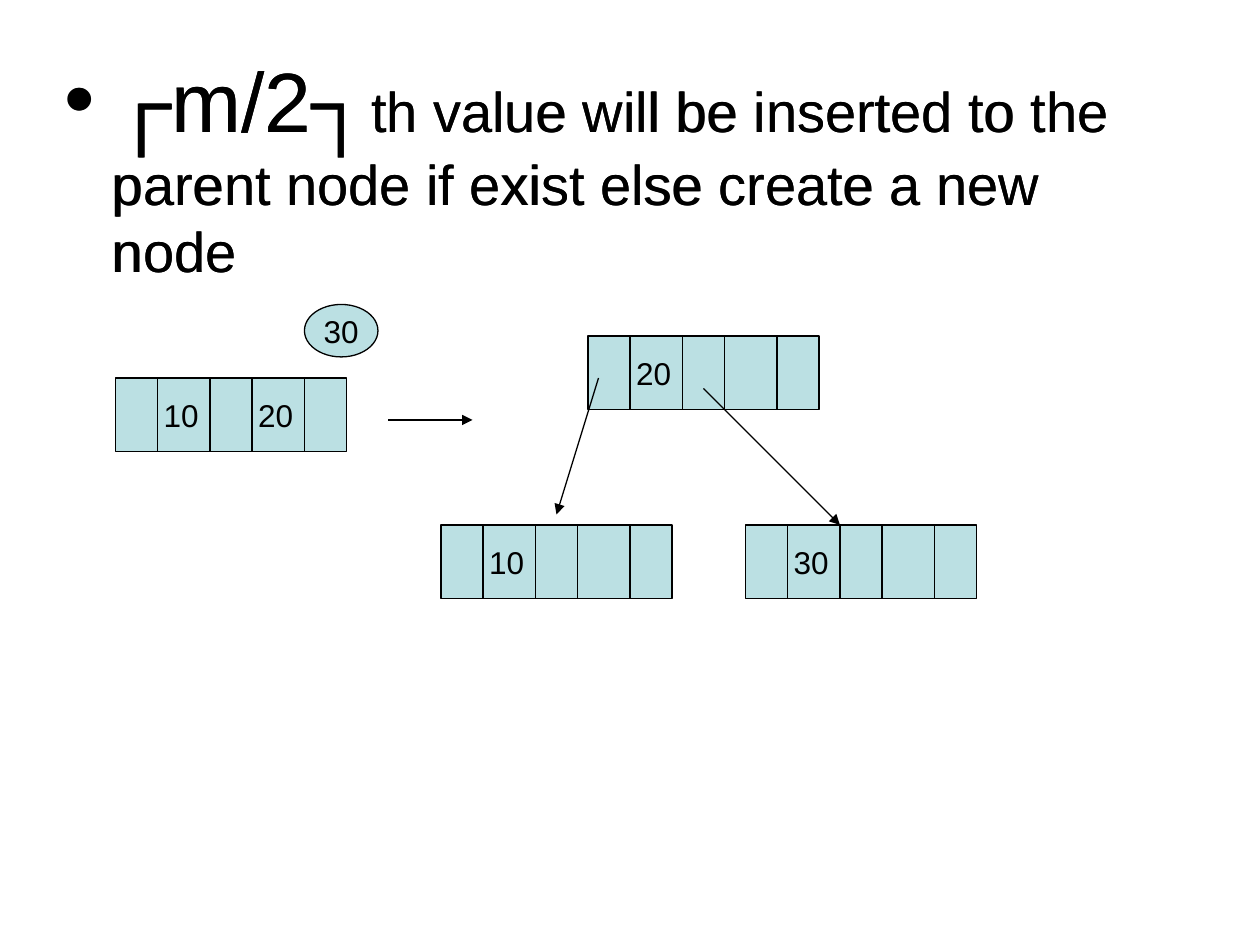
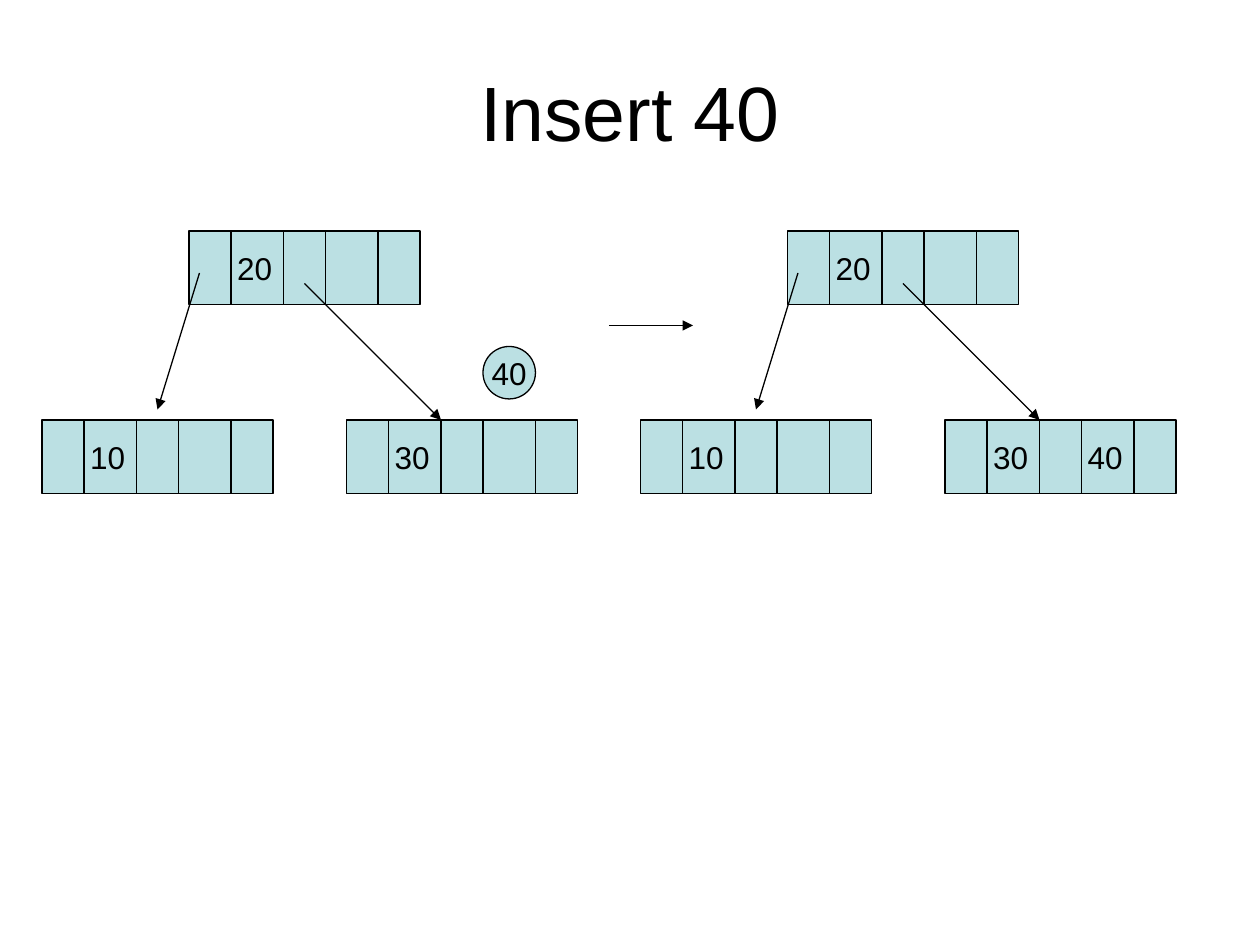
from dataclasses import dataclass

from lxml.etree import SubElement
from pptx import Presentation
from pptx.dml.color import RGBColor
from pptx.enum.shapes import MSO_CONNECTOR, MSO_SHAPE
from pptx.enum.text import MSO_ANCHOR, MSO_AUTO_SIZE, PP_ALIGN
from pptx.oxml.ns import qn
from pptx.util import Cm, Pt


@dataclass(frozen=True)
class Theme:
    ink: RGBColor = RGBColor(0, 0, 0)
    fill: RGBColor = RGBColor(0xBB, 0xE0, 0xE3)
    font: str = "Arial"
    title: int = 44
    large: int = 48
    body: int = 32
    key: int = 18
    line: float = 0.75


THEME = Theme()

RULE = [
    ("┌m/2┐", THEME.large),
    ("th value will be inserted to the parent node if exist else create a new node", THEME.body),
]
SPLIT = {
    "nodes": [(11, 36, ["10", "20"])],
    "trees": [(56, 32, ["20"], ["10"], ["30"])],
    "value": ("30", 29, 29, 7, 5),
    "arrow": (37, 40, 45, 40),
}
INSERT = {
    "title": "Insert 40",
    "nodes": [],
    "trees": [
        (18, 22, ["20"], ["10"], ["30"]),
        (75, 22, ["20"], ["10"], ["30", "40"]),
    ],
    "value": ("40", 46, 33, 5, 5),
    "arrow": (58, 31, 66, 31),
}

NODE_W, NODE_H = 22, 7
EDGES = [4, 9, 13, 18]
KEY_TABS = [EDGES[0] - 0.6, EDGES[2] - 0.6]
LEFT, RIGHT, DROP = -14, 15, 18
INDENT = Cm(0.95)


def grid(*cells):
    return [Cm(cell * 2.54 / 12) for cell in cells]


def style(para, size=None):
    font = para.font
    font.name = THEME.font
    font.color.rgb = THEME.ink
    if size:
        font.size = Pt(size)


def draw_line(slide, ends, head=False):
    line = slide.shapes.add_connector(MSO_CONNECTOR.STRAIGHT, *grid(*ends))
    line.line.color.rgb = THEME.ink
    line.line.width = Pt(THEME.line)
    props = line.element.spPr
    if head:
        SubElement(props.find(qn("a:ln")), qn("a:tailEnd"), type="triangle")
    SubElement(props, qn("a:effectLst"))


def draw_shape(slide, kind, box, text, align, tabs=()):
    shape = slide.shapes.add_shape(kind, *grid(*box))
    shape.shadow.inherit = False
    shape.fill.solid()
    shape.fill.fore_color.rgb = THEME.fill
    shape.line.color.rgb = THEME.ink
    shape.line.width = Pt(THEME.line)
    frame = shape.text_frame
    frame.word_wrap = bool(tabs)
    frame.vertical_anchor = MSO_ANCHOR.MIDDLE
    para = frame.paragraphs[0]
    para.text = text
    para.alignment = align
    if tabs:
        stops = SubElement(para._p.get_or_add_pPr(), qn("a:tabLst"))
        for stop in grid(*tabs):
            SubElement(stops, qn("a:tab"), pos=str(stop), algn="l")
    style(para, THEME.key)


def draw_node(slide, x, y, keys):
    text = "".join("\t" + key for key in keys)
    draw_shape(slide, MSO_SHAPE.RECTANGLE, (x, y, NODE_W, NODE_H), text,
               PP_ALIGN.LEFT, KEY_TABS)
    for edge in EDGES:
        draw_line(slide, (x + edge, y, x + edge, y + NODE_H))


def draw_tree(slide, x, y, root, left, right):
    draw_node(slide, x, y, root)
    draw_node(slide, x + LEFT, y + DROP, left)
    draw_node(slide, x + RIGHT, y + DROP, right)
    draw_line(slide, (x + 1, y + 4, x - 3, y + DROP - 1), True)
    draw_line(slide, (x + 11, y + 5, x + RIGHT + EDGES[1], y + DROP), True)


def draw_scene(slide, scene):
    for node in scene["nodes"]:
        draw_node(slide, *node)
    for tree in scene["trees"]:
        draw_tree(slide, *tree)
    text, *box = scene["value"]
    draw_shape(slide, MSO_SHAPE.OVAL, box, text, PP_ALIGN.CENTER)
    draw_line(slide, scene["arrow"], True)


def place(shape, box):
    shape.left, shape.top, shape.width, shape.height = grid(*box)
    frame = shape.text_frame
    frame.word_wrap = True
    frame.auto_size = MSO_AUTO_SIZE.NONE
    return frame


def write_rule(shape, box):
    frame = place(shape, box)
    frame.vertical_anchor = MSO_ANCHOR.TOP
    para = frame.paragraphs[0]
    para.space_before = Pt(8)
    props = para._p.get_or_add_pPr()
    props.set("marL", str(INDENT))
    props.set("indent", str(-INDENT))
    SubElement(props, qn("a:buFont"), typeface=THEME.font)
    SubElement(props, qn("a:buChar"), char="•")
    style(para)
    for text, size in RULE:
        run = para.add_run()
        run.text = text
        run.font.size = Pt(size)


def build_split(deck):
    slide = deck.slides.add_slide(deck.slide_layouts[1])
    title = slide.shapes.title.element
    title.getparent().remove(title)
    write_rule(slide.placeholders[1], (5, 4, 108, 26))
    draw_scene(slide, SPLIT)
    box = (5, 4, 108, 22)
    write_rule(slide.shapes.add_textbox(*grid(*box)), box)


def build_insert(deck):
    slide = deck.slides.add_slide(deck.slide_layouts[5])
    frame = place(slide.shapes.title, (6, 3, 108, 15))
    frame.vertical_anchor = MSO_ANCHOR.MIDDLE
    para = frame.paragraphs[0]
    para.text = INSERT["title"]
    para.alignment = PP_ALIGN.CENTER
    style(para, THEME.title)
    draw_scene(slide, INSERT)


def main():
    deck = Presentation()
    deck.slide_width, deck.slide_height = Cm(25.4), Cm(19.05)
    build_split(deck)
    build_insert(deck)
    deck.save("out.pptx")


if __name__ == "__main__":
    main()
